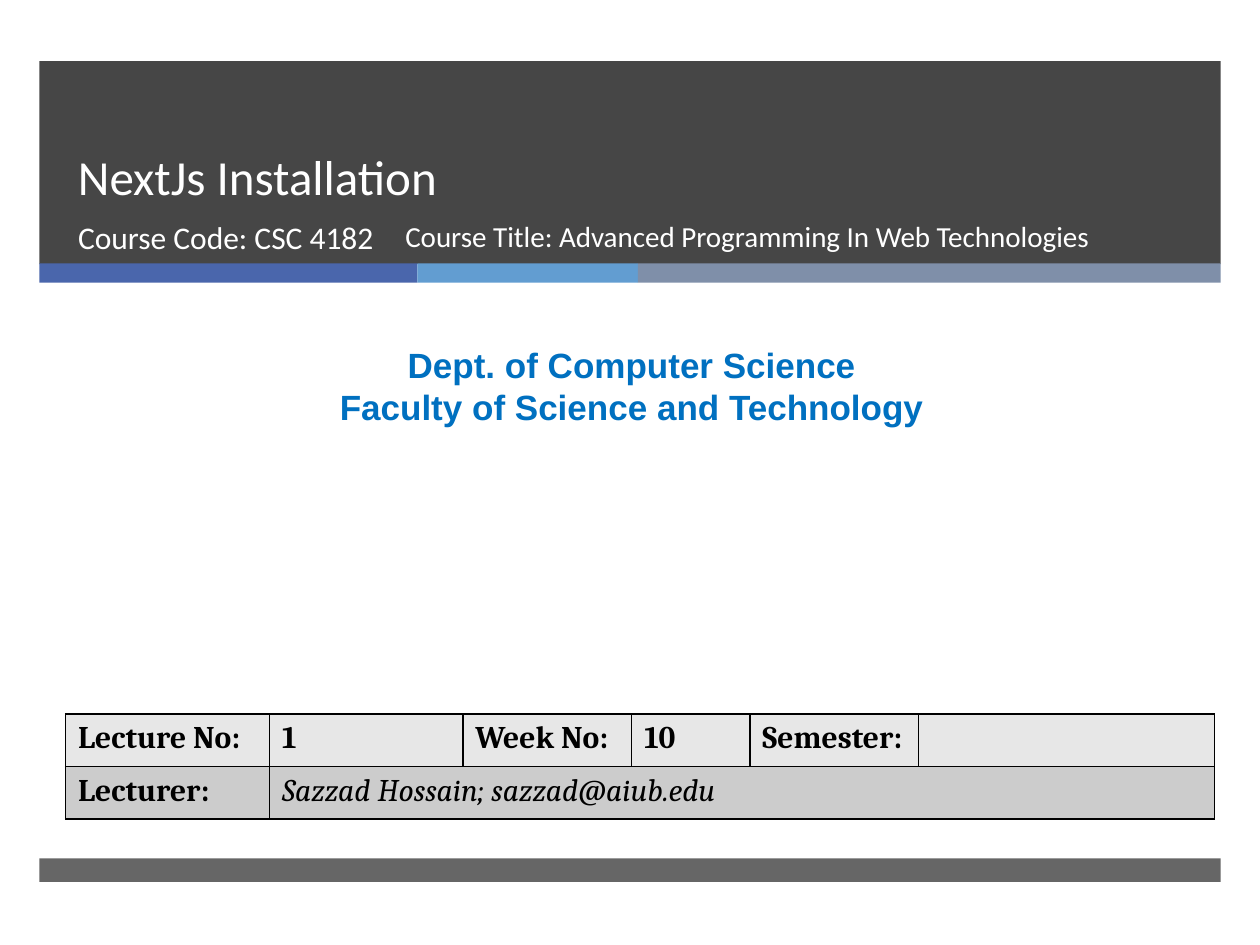
from dataclasses import dataclass

from lxml.etree import SubElement
from pptx import Presentation
from pptx.dml.color import RGBColor
from pptx.enum.shapes import MSO_SHAPE as Shape
from pptx.enum.text import MSO_ANCHOR as Anchor, PP_ALIGN as Align
from pptx.oxml.ns import qn
from pptx.util import Pt


@dataclass(frozen=True)
class Theme:
    dark: str = "262626"
    stripes: tuple = ("4A66AC", "629DD1", "7F8FA9")
    white: str = "FFFFFF"
    black: str = "000000"
    blue: str = "0070C0"
    table_rows: tuple = ("E7E7E7", "CCCCCC")
    heading_font: str = "Calibri"
    body_font: str = "Arial"
    table_font: str = "Cambria"
    title_size: float = 28
    department_size: float = 20
    detail_size: float = 18
    course_size: float = 16.6


THEME = Theme()


def style(para, font, size, color, bold=False, italic=False):
    for span in para.runs:
        span.font.name, span.font.size = font, Pt(size)
        span.font.bold, span.font.italic = bold, italic
        span.font.color.rgb = RGBColor.from_string(color)


def add_bar(page, box, color, opacity=100):
    bar = page.shapes.add_shape(Shape.RECTANGLE, *map(Pt, box))
    bar.shadow.inherit = False
    bar.line.fill.background()
    bar.fill.solid()
    bar.fill.fore_color.rgb = RGBColor.from_string(color)
    if opacity < 100:
        tint = bar._element.spPr.find(qn("a:solidFill"))[0]
        SubElement(tint, qn("a:alpha")).set("val", str(opacity * 1000))


def add_text(page, box, text, font, size, color, bold=False,
             align=Align.LEFT, anchor=Anchor.TOP, spacing=None):
    frame = page.shapes.add_textbox(*map(Pt, box)).text_frame
    frame.word_wrap = True
    frame.vertical_anchor = anchor
    frame.text = text
    for para in frame.paragraphs:
        para.alignment = align
        para.line_spacing = spacing
        style(para, font, size, color, bold)


def add_header(page, box):
    """Dark banner with the title, the course line and a striped lower edge."""
    left, top, width, height = box
    add_bar(page, box, THEME.dark, 85)
    stripe_left = left
    for stripe_width, color in zip((216, 126, width - 342), THEME.stripes):
        add_bar(page, (stripe_left, top + height - 0.5, stripe_width, 11), color)
        stripe_left += stripe_width
    text_left, course_top = left + 15, top + 86
    add_text(page, (text_left, top, 615, 86), "NextJs Installation",
             THEME.heading_font, THEME.title_size, THEME.white,
             anchor=Anchor.BOTTOM, spacing=Pt(46))
    add_text(page, (text_left, course_top, 220, 38), "Course Code: CSC 4182",
             THEME.heading_font, THEME.detail_size, THEME.white)
    add_text(page, (text_left + 187, course_top, 428, 38),
             "Course Title: Advanced Programming In Web Technologies",
             THEME.heading_font, THEME.course_size, THEME.white)


def add_department(page, box):
    add_text(page, box,
             "Dept. of Computer Science\nFaculty of Science and Technology",
             THEME.body_font, THEME.department_size, THEME.blue,
             bold=True, align=Align.CENTER)


def border_cell(cell):
    properties = cell._tc.get_or_add_tcPr()
    for position, side in enumerate(("a:lnL", "a:lnR", "a:lnT", "a:lnB")):
        line = properties.makeelement(qn(side), {"w": str(Pt(1))})
        fill = SubElement(line, qn("a:solidFill"))
        SubElement(fill, qn("a:srgbClr")).set("val", THEME.black)
        properties.insert(position, line)


def add_lecture_table(page, box):
    rows = (
        ("Lecture No:", "1", "Week No:", "10", "Semester:", ""),
        ("Lecturer:", "Sazzad Hossain; sazzad@aiub.edu", "", "", "", ""),
    )
    widths = (116.5, 110.5, 96.5, 67.5, 96.5, 169)
    table = page.shapes.add_table(len(rows), len(widths), *map(Pt, box)).table
    for column, width in zip(table.columns, widths):
        column.width = Pt(width)
    for row_index, (texts, color) in enumerate(zip(rows, THEME.table_rows)):
        for column_index, text in enumerate(texts):
            cell = table.cell(row_index, column_index)
            cell.fill.solid()
            cell.fill.fore_color.rgb = RGBColor.from_string(color)
            border_cell(cell)
            if text:
                cell.text = text
                lecturer = (row_index, column_index) == (1, 1)
                style(cell.text_frame.paragraphs[0], THEME.table_font,
                      THEME.detail_size, THEME.black,
                      bold=not lecturer, italic=lecturer)
    table.cell(1, 1).merge(table.cell(1, 5))


def main():
    deck = Presentation()
    deck.slide_width, deck.slide_height = Pt(720), Pt(540)
    page = deck.slides.add_slide(deck.slide_layouts[6])
    add_header(page, (22.5, 35, 675, 116))
    add_bar(page, (22.5, 490.5, 675, 13.5), THEME.dark, 70)
    add_department(page, (6, 193, 710, 56))
    add_lecture_table(page, (37.5, 408, 656.5, 60))
    deck.save("out.pptx")


if __name__ == "__main__":
    main()
